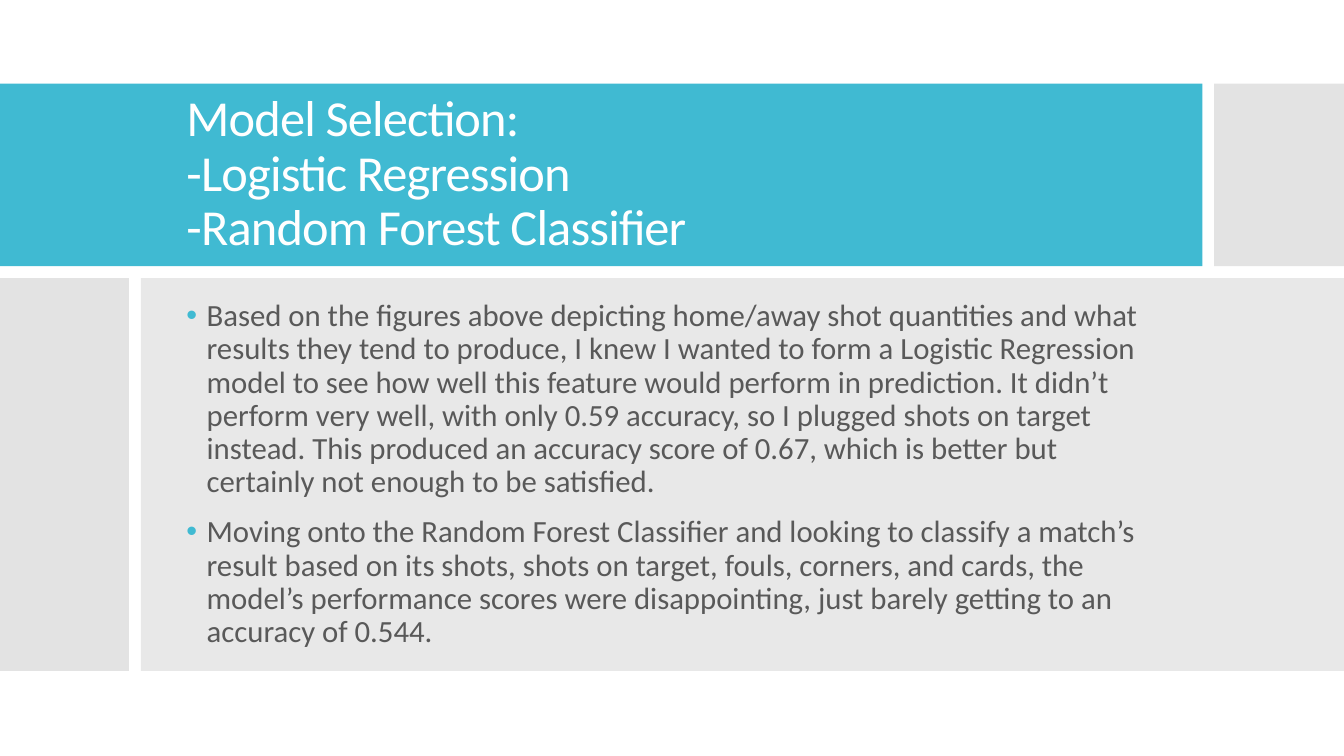
import pptx
import pptx.dml.color
import pptx.enum.shapes
import pptx.enum.text
import pptx.oxml.ns
import pptx.util
from dataclasses import dataclass
from lxml import etree

Cm, Pt = pptx.util.Cm, pptx.util.Pt
RGB = pptx.dml.color.RGBColor.from_string
qn = pptx.oxml.ns.qn


@dataclass(frozen=True)
class Theme:
    font: str = "Calibri"
    accent: str = "40BAD2"
    side: str = "C8C8C8"
    panel: str = "D9D9D9"
    title_color: str = "FFFFFF"
    body_color: str = "595959"
    title_size: float = 36
    body_size: float = 22


theme = Theme()


def add_block(left, top, width, height, color, opacity):
    """Add a borderless rectangle; lengths in cm, opacity in percent."""
    sp = slide.shapes.add_shape(
        pptx.enum.shapes.MSO_SHAPE.RECTANGLE, Cm(left), Cm(top), Cm(width), Cm(height))
    sp.shadow.inherit = False
    sp.line.fill.background()
    sp.fill.solid()
    sp.fill.fore_color.rgb = RGB(color)
    if opacity < 100:
        clr = sp.fill._xPr.find(".//" + qn("a:srgbClr"))
        etree.SubElement(clr, qn("a:alpha"), val=str(opacity * 1000))


def add_text(top, height, paragraphs, size, color):
    """Add a vertically centred text box in the text column."""
    sp = slide.shapes.add_textbox(Cm(text_left), Cm(top), Cm(text_width), Cm(height))
    tf = sp.text_frame
    tf.word_wrap = True
    tf.vertical_anchor = pptx.enum.text.MSO_ANCHOR.MIDDLE
    tf.text = "\n".join(paragraphs)
    for p in tf.paragraphs:
        p.line_spacing = 0.9
        for r in p.runs:
            r.font.name = theme.font
            r.font.size = Pt(size)
            r.font.color.rgb = RGB(color)
    return tf


prs = pptx.Presentation()
prs.slide_width, prs.slide_height = Cm(33.87), Cm(19.05)
slide = prs.slides.add_slide(prs.slide_layouts[6])

slide_width, gap = 33.87, 0.3
band_top, band_width, band_height = 2.11, 30.3, 4.6
panel_top, panel_height = band_top + band_height + gap, 9.9
side_width = 3.25
text_left, text_width = 4.45, 24.94

right_left = band_width + gap
panel_left = side_width + gap
add_block(0, band_top, band_width, band_height, theme.accent, 100)
add_block(right_left, band_top, slide_width - right_left, band_height, theme.side, 50)
add_block(0, panel_top, side_width, panel_height, theme.side, 50)
add_block(panel_left, panel_top, slide_width - panel_left, panel_height, theme.panel, 60)

title = add_text(
    band_top, band_height,
    ["Model Selection:\v-Logistic Regression\v-Random Forest Classifier"],
    theme.title_size, theme.title_color)
for r in title.paragraphs[0].runs:
    r.font._element.set("spc", "-60")

body = add_text(
    panel_top, panel_height,
    ["Based on the figures above depicting home/away shot quantities and what results "
     "they tend to produce, I knew I wanted to form a Logistic Regression model to see "
     "how well this feature would perform in prediction. It didn’t perform very well, "
     "with only 0.59 accuracy, so I plugged shots on target instead. This produced an "
     "accuracy score of 0.67, which is better but certainly not enough to be satisfied.",
     "Moving onto the Random Forest Classifier and looking to classify a match’s result "
     "based on its shots, shots on target, fouls, corners, and cards, the model’s "
     "performance scores were disappointing, just barely getting to an accuracy of 0.544."],
    theme.body_size, theme.body_color)
for p in body.paragraphs:
    p.space_before = Pt(12)
    pPr = p._p.get_or_add_pPr()
    pPr.set("marL", str(Cm(0.51)))
    pPr.set("indent", str(-Cm(0.51)))
    bullet_color = etree.SubElement(pPr, qn("a:buClr"))
    etree.SubElement(bullet_color, qn("a:srgbClr"), val=theme.accent)
    etree.SubElement(pPr, qn("a:buFont"), typeface="Arial")
    etree.SubElement(pPr, qn("a:buChar"), char="•")

prs.save("out.pptx")
